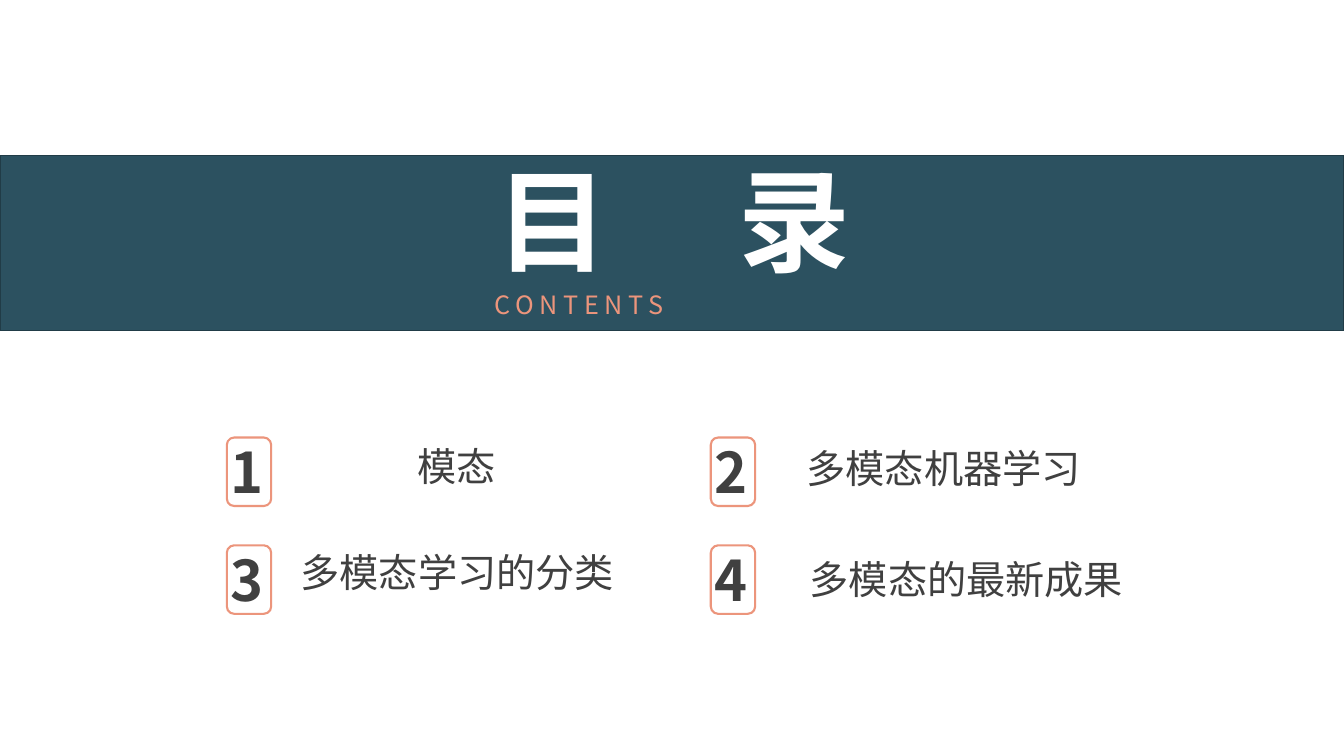
from pptx import Presentation
from pptx.dml.color import RGBColor
from pptx.enum import shapes, text
from pptx.util import Inches, Pt

TEAL = RGBColor(0x2C, 0x51, 0x60)
DARK_TEAL = RGBColor(0x21, 0x3C, 0x47)
CORAL = RGBColor(0xEC, 0x95, 0x7C)
GREY = RGBColor(0x40, 0x40, 0x40)
WHITE = RGBColor(0xFF, 0xFF, 0xFF)
FONT = "Noto Sans CJK SC"

COLUMNS = (2.25, 7.05)
ROWS = (4.34, 5.41)
TOPICS = (
    ("模态", 4.04, 4.34, 0.98),
    ("多模态机器学习", 7.9, 4.36, 2.92),
    ("多模态学习的分类", 2.88, 5.39, 3.31),
    ("多模态的最新成果", 7.93, 5.46, 3.31),
)


def add_outlined(page, kind, place, line_color, line_width, fill_color=None):
    shape = page.shapes.add_shape(kind, *map(Inches, place))
    shape.shadow.inherit = False
    if fill_color is None:
        shape.fill.background()
    else:
        shape.fill.solid()
        shape.fill.fore_color.rgb = fill_color
    shape.line.color.rgb = line_color
    shape.line.width = Pt(line_width)
    return shape


def style_paragraph(paragraph, size, color, bold, align):
    paragraph.alignment = align
    font = paragraph.font
    font.name = FONT
    font.size = Pt(size)
    font.bold = bold
    font.color.rgb = color
    properties = paragraph._p.get_or_add_pPr().find("{*}defRPr")
    for tag in ("ea", "cs"):
        typeface = properties.makeelement(
            properties.tag.replace("defRPr", tag), {"typeface": FONT})
        properties.append(typeface)


def add_spaced_run(paragraph, words, points):
    span = paragraph.add_run()
    span.text = words
    span.font._element.set("spc", str(round(points * 100)))


def add_label(page, words, place, size, color, bold=False,
              align=text.PP_ALIGN.LEFT, wrap=False, spacing=0):
    box = page.shapes.add_textbox(*map(Inches, place))
    frame = box.text_frame
    frame.word_wrap = wrap
    frame.auto_size = text.MSO_AUTO_SIZE.SHAPE_TO_FIT_TEXT
    paragraph = frame.paragraphs[0]
    add_spaced_run(paragraph, words, spacing)
    style_paragraph(paragraph, size, color, bold, align)


def add_heading(page):
    band = add_outlined(page, shapes.MSO_SHAPE.RECTANGLE,
                        (0, 1.54, 13.33, 1.74), DARK_TEAL, 1, TEAL)
    title = page.shapes.title
    title.left, title.top = Inches(4.69), Inches(1.45)
    title.width, title.height = Inches(3.98), Inches(1.56)
    band._element.addnext(title._element)
    frame = title.text_frame
    frame.word_wrap = False
    frame.auto_size = text.MSO_AUTO_SIZE.NONE
    frame.vertical_anchor = text.MSO_ANCHOR.TOP
    paragraph = frame.paragraphs[0]
    add_spaced_run(paragraph, "目 ", 37.4)
    add_spaced_run(paragraph, "录", 4)
    style_paragraph(paragraph, 80, WHITE, True, text.PP_ALIGN.CENTER)
    add_label(page, "CONTENTS", (4.81, 2.82, 3.74, 0.4), 18, CORAL,
              align=text.PP_ALIGN.JUSTIFY, wrap=True, spacing=4)


def add_topic(page, index, topic):
    words, left, top, width = topic
    row, column = divmod(index, len(COLUMNS))
    x, y = COLUMNS[column], ROWS[row]
    add_label(page, words, (left, top, width, 0.57), 28, GREY,
              align=text.PP_ALIGN.CENTER)
    add_outlined(page, shapes.MSO_SHAPE.ROUNDED_RECTANGLE,
                 (x, y, 0.44, 0.68), CORAL, 1.5)
    add_label(page, str(index + 1), (x - 0.06, y - 0.05, 0.55, 0.77),
              40, GREY, bold=True)


def main():
    deck = Presentation()
    deck.slide_width, deck.slide_height = Inches(13.33), Inches(7.5)
    page = deck.slides.add_slide(deck.slide_layouts[5])
    add_heading(page)
    for index, topic in enumerate(TOPICS):
        add_topic(page, index, topic)
    deck.save("out.pptx")


if __name__ == "__main__":
    main()
